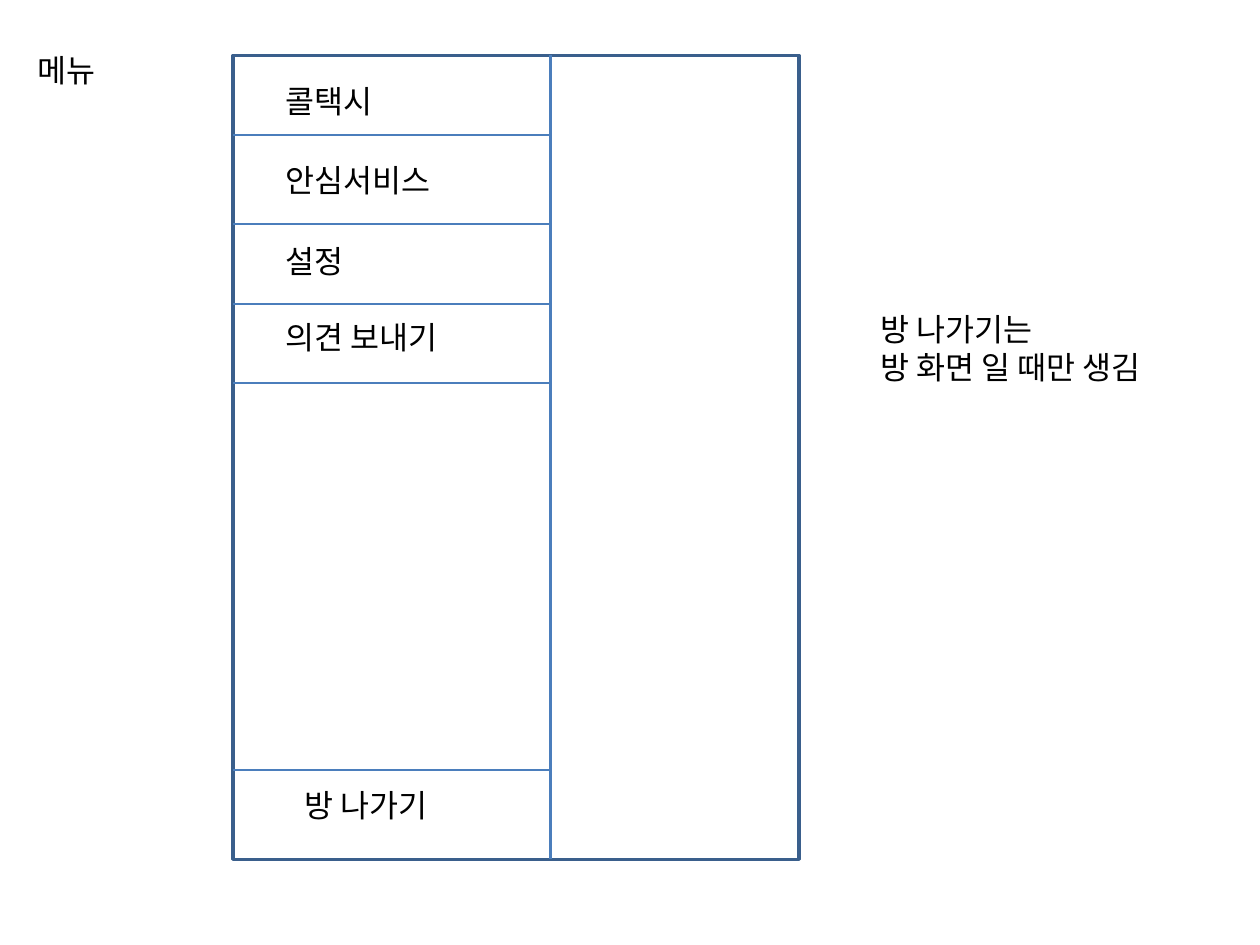
from lxml.etree import SubElement
from pptx import Presentation
from pptx.dml.color import RGBColor
from pptx.enum.shapes import MSO_CONNECTOR, MSO_SHAPE
from pptx.enum.text import MSO_AUTO_SIZE
from pptx.oxml.ns import qn
from pptx.util import Inches, Pt

COLORS = {"frame": "3A5F8C", "divider": "4B7EBC", "text": "000000"}
FONT = "Noto Sans CJK KR"
WIDTH, HEIGHT = 10, 7.5
LEFT, MIDDLE, RIGHT = 1.85, 4.37, 6.34
TOP, BOTTOM = 0.44, 6.82
MENU_LEFT = 2.17
ROW_LINES = (1.07, 1.78, 2.41, 3.04, 6.11)


def set_line(line, color, weight):
    """Give a line its color and its weight in points."""
    line.color.rgb = RGBColor.from_string(COLORS[color])
    line.width = Pt(weight)


def add_frame(slide):
    """Draw the outline of the screen."""
    shape = slide.shapes.add_shape(
        MSO_SHAPE.RECTANGLE, Inches(LEFT), Inches(TOP),
        Inches(RIGHT - LEFT), Inches(BOTTOM - TOP))
    shape.shadow.inherit = False
    shape.fill.background()
    set_line(shape.line, "frame", 2)


def add_divider(slide, start, end, weight=1):
    """Draw a straight divider between two points."""
    connector = slide.shapes.add_connector(
        MSO_CONNECTOR.STRAIGHT, *map(Inches, start + end))
    set_line(connector.line, "divider", weight)
    SubElement(connector._element.spPr, qn("a:effectLst"))


def add_text(slide, lines, left, top, width, height=0.4, *, size=18, gap=0):
    """Add a text box with one paragraph per line, set apart by gap points."""
    box = slide.shapes.add_textbox(*map(Inches, (left, top, width, height)))
    frame = box.text_frame
    frame.word_wrap = True
    frame.auto_size = MSO_AUTO_SIZE.SHAPE_TO_FIT_TEXT
    for index, line in enumerate(lines):
        paragraph = frame.add_paragraph() if index else frame.paragraphs[0]
        paragraph.space_before = Pt(gap if index else 0)
        run = paragraph.add_run()
        run.text = line
        run.font.size = Pt(size)
        run.font.name = FONT
        run.font.color.rgb = RGBColor.from_string(COLORS["text"])
        SubElement(run.font._element, qn("a:ea")).set("typeface", FONT)


def main():
    """Build the menu screen slide and save it."""
    presentation = Presentation()
    presentation.slide_width = Inches(WIDTH)
    presentation.slide_height = Inches(HEIGHT)
    slide = presentation.slides.add_slide(presentation.slide_layouts[6])

    add_frame(slide)
    add_text(slide, ["메뉴"], 0.2, 0.36, 5.12)
    add_divider(slide, (MIDDLE, TOP), (MIDDLE, BOTTOM), weight=1.75)
    add_text(slide, ["콜택시"], MENU_LEFT, 0.6, 2.91, 0.71)
    add_text(slide, ["안심서비스"], MENU_LEFT, 1.23, 3.78)
    add_text(slide, ["설정", "의견 보내기"], MENU_LEFT, 1.87, 6.3, 1.01, gap=21.7)
    add_text(slide, ["방 나가기"], 2.32, 6.19, 3.78)
    for row in ROW_LINES:
        add_divider(slide, (LEFT, row), (MIDDLE, row))
    add_text(slide, ["방 나가기는", "방 화면 일 때만 생김"], 6.89, 2.41, 2.8, 0.71)

    presentation.save("out.pptx")


if __name__ == "__main__":
    main()
